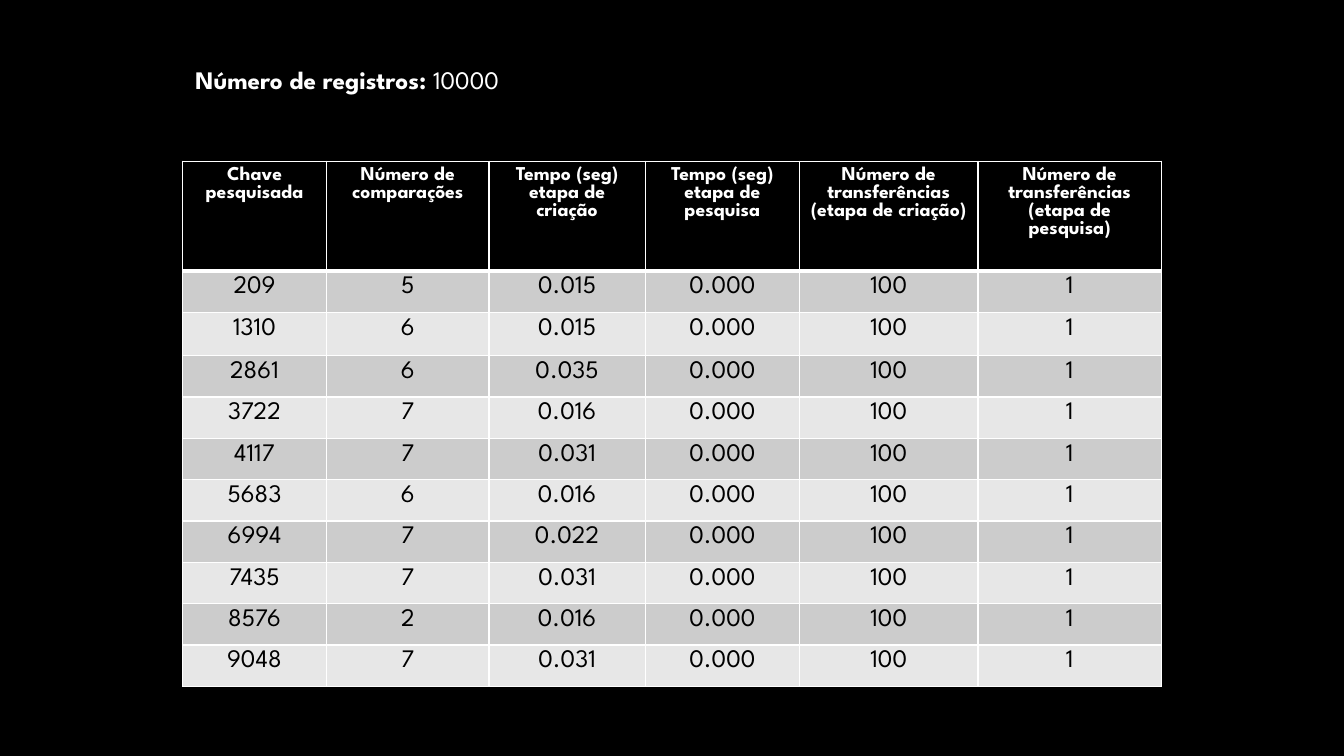
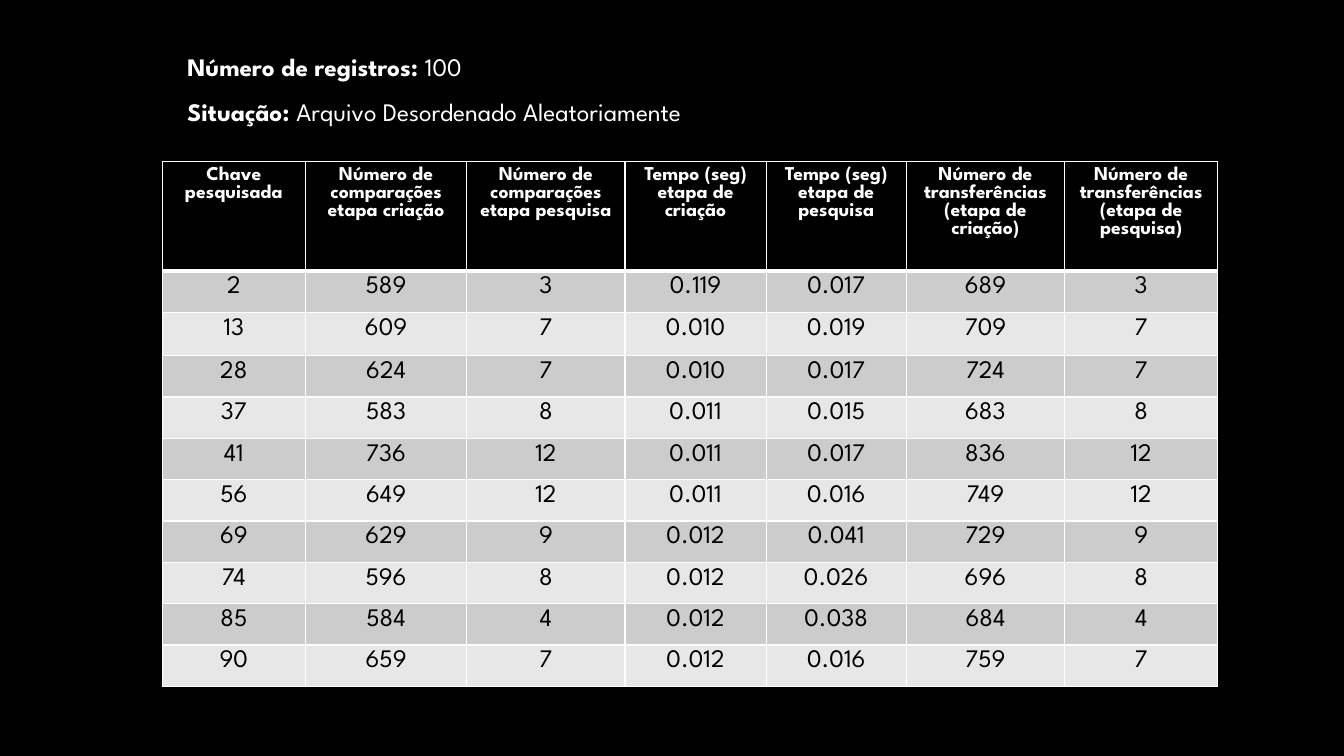
import pptx
import pptx.util
import pptx.dml.color
import pptx.enum.text
import pptx.oxml.ns
import lxml.etree
from dataclasses import dataclass


@dataclass(frozen=True)
class Theme:
    font: str = "League Spartan"
    black: str = "000000"
    white: str = "FFFFFF"
    bands: tuple = ("CCCCCC", "E7E7E7")
    body_size: int = 18
    header_size: int = 14
    thin_line: int = 1
    thick_line: int = 3


THEME = Theme()
TABLE_TOP = 1.6
ROW_HEIGHTS = [1.09, 0.41, 0.43] + [0.41] * 8
TIME_AND_TRANSFER_HEADERS = [
    "Tempo (seg) etapa de criação",
    "Tempo (seg) etapa de pesquisa",
    "Número de transferências (etapa de criação)",
    "Número de transferências (etapa de pesquisa)",
]

# Content: caption lines, caption box (left, top, width, height), table
PAGES = [
    {
        "caption": [("Número de registros: ", "10000")],
        "caption_box": (1.84, 0.59, 3.5, 0.4),
        "line_pitch": 21.6,
        "table_left": 1.81,
        "columns": [1.43, 1.61, 1.55, 1.53, 1.77, 1.82],
        "headers": ["Chave pesquisada", "Número de comparações"]
        + TIME_AND_TRANSFER_HEADERS,
        "rows": [
            ("209", "5", "0.015", "0.000", "100", "1"),
            ("1310", "6", "0.015", "0.000", "100", "1"),
            ("2861", "6", "0.035", "0.000", "100", "1"),
            ("3722", "7", "0.016", "0.000", "100", "1"),
            ("4117", "7", "0.031", "0.000", "100", "1"),
            ("5683", "6", "0.016", "0.000", "100", "1"),
            ("6994", "7", "0.022", "0.000", "100", "1"),
            ("7435", "7", "0.031", "0.000", "100", "1"),
            ("8576", "2", "0.016", "0.000", "100", "1"),
            ("9048", "7", "0.031", "0.000", "100", "1"),
        ],
    },
    {
        "caption": [
            ("Número de registros: ", "100"),
            ("Situação: ", "Arquivo Desordenado Aleatoriamente"),
        ],
        "caption_box": (1.76, 0.31, 6.13, 1.01),
        "line_pitch": 32.2,
        "table_left": 1.61,
        "columns": [1.42, 1.6, 1.57, 1.4, 1.39, 1.57, 1.52],
        "headers": [
            "Chave pesquisada",
            "Número de comparações etapa criação",
            "Número de comparações etapa pesquisa",
        ]
        + TIME_AND_TRANSFER_HEADERS,
        "rows": [
            ("2", "589", "3", "0.119", "0.017", "689", "3"),
            ("13", "609", "7", "0.010", "0.019", "709", "7"),
            ("28", "624", "7", "0.010", "0.017", "724", "7"),
            ("37", "583", "8", "0.011", "0.015", "683", "8"),
            ("41", "736", "12", "0.011", "0.017", "836", "12"),
            ("56", "649", "12", "0.011", "0.016", "749", "12"),
            ("69", "629", "9", "0.012", "0.041", "729", "9"),
            ("74", "596", "8", "0.012", "0.026", "696", "8"),
            ("85", "584", "4", "0.012", "0.038", "684", "4"),
            ("90", "659", "7", "0.012", "0.016", "759", "7"),
        ],
    },
]


def rgb(value):
    return pptx.dml.color.RGBColor.from_string(value)


def inches(*values):
    return [pptx.util.Inches(value) for value in values]


def add_span(para, text, size, color, bold):
    span = para.add_run()
    span.text = text
    span.font.name = THEME.font
    span.font.size = pptx.util.Pt(size)
    span.font.color.rgb = rgb(color)
    span.font.bold = bold


def add_borders(cell, top, bottom):
    properties = cell._tc.get_or_add_tcPr()
    qn = pptx.oxml.ns.qn
    widths = {"L": THEME.thin_line, "R": THEME.thin_line, "T": top, "B": bottom}
    for side, width in widths.items():
        line = lxml.etree.SubElement(
            properties, qn(f"a:ln{side}"), w=str(pptx.util.Pt(width))
        )
        fill = lxml.etree.SubElement(line, qn("a:solidFill"))
        lxml.etree.SubElement(fill, qn("a:srgbClr"), val=THEME.white)


def add_caption(page, content):
    box = page.shapes.add_textbox(*inches(*content["caption_box"]))
    frame = box.text_frame
    frame.word_wrap = True
    for index, (label, value) in enumerate(content["caption"]):
        para = frame.add_paragraph() if index else frame.paragraphs[0]
        para.line_spacing = pptx.util.Pt(content["line_pitch"])
        add_span(para, label, THEME.body_size, THEME.white, True)
        add_span(para, value, THEME.body_size, THEME.white, False)


def fill_cell(cell, text, row_index):
    is_header = row_index == 0
    # The thick rule lies between the header and the first data row
    add_borders(
        cell,
        top=THEME.thick_line if row_index == 1 else THEME.thin_line,
        bottom=THEME.thick_line if is_header else THEME.thin_line,
    )
    cell.fill.solid()
    band = THEME.bands[(row_index - 1) % 2]
    cell.fill.fore_color.rgb = rgb(THEME.black if is_header else band)
    para = cell.text_frame.paragraphs[0]
    para.alignment = pptx.enum.text.PP_ALIGN.CENTER
    size = THEME.header_size if is_header else THEME.body_size
    color = THEME.white if is_header else THEME.black
    add_span(para, text, size, color, is_header)


def add_results_table(page, content):
    columns = content["columns"]
    rows = [content["headers"], *content["rows"]]
    position = inches(
        content["table_left"], TABLE_TOP, sum(columns), sum(ROW_HEIGHTS)
    )
    table = page.shapes.add_table(len(rows), len(columns), *position).table
    for column, width in zip(table.columns, inches(*columns)):
        column.width = width
    for row, height in zip(table.rows, inches(*ROW_HEIGHTS)):
        row.height = height
    for row_index, texts in enumerate(rows):
        for column_index, text in enumerate(texts):
            fill_cell(table.cell(row_index, column_index), text, row_index)


def main():
    deck = pptx.Presentation()
    deck.slide_width, deck.slide_height = inches(13.33, 7.5)
    # Shared black background
    background = deck.slide_master.background.fill
    background.solid()
    background.fore_color.rgb = rgb(THEME.black)
    for content in PAGES:
        page = deck.slides.add_slide(deck.slide_layouts[6])
        add_results_table(page, content)
        add_caption(page, content)
    deck.save("out.pptx")


if __name__ == "__main__":
    main()
